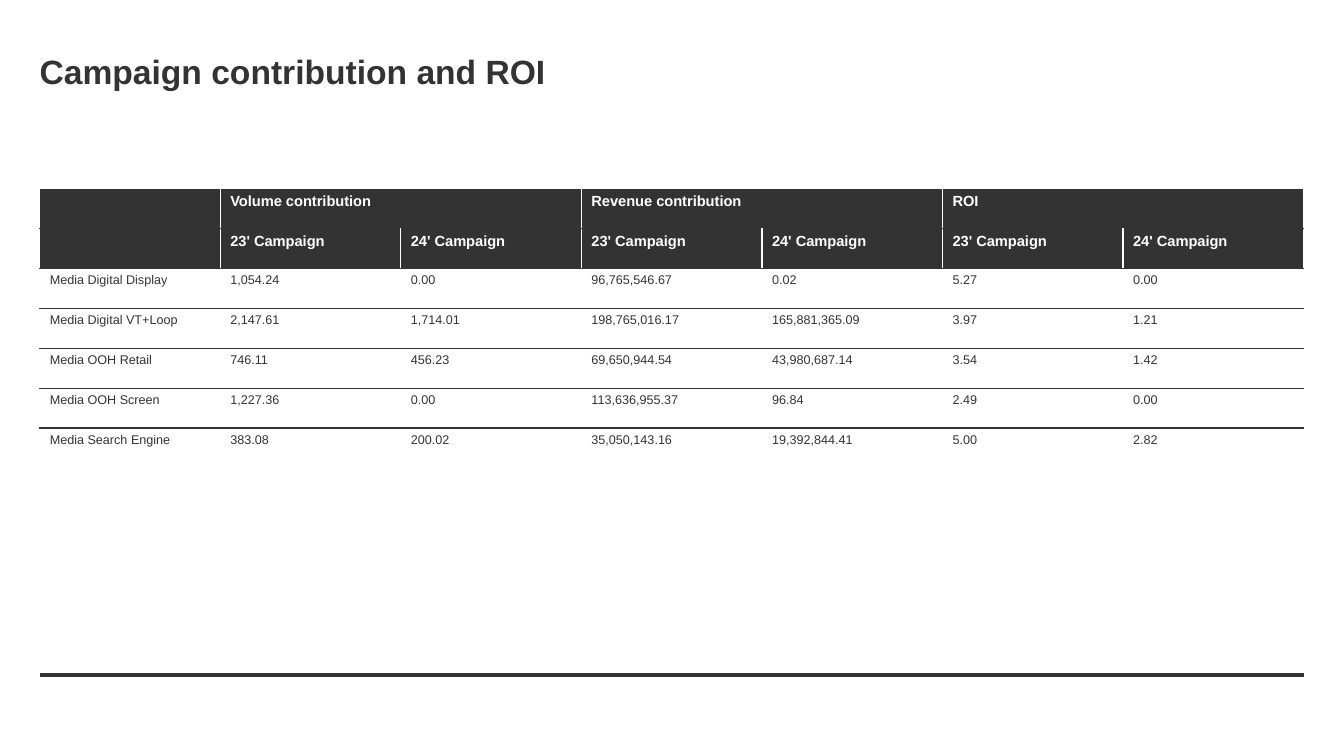
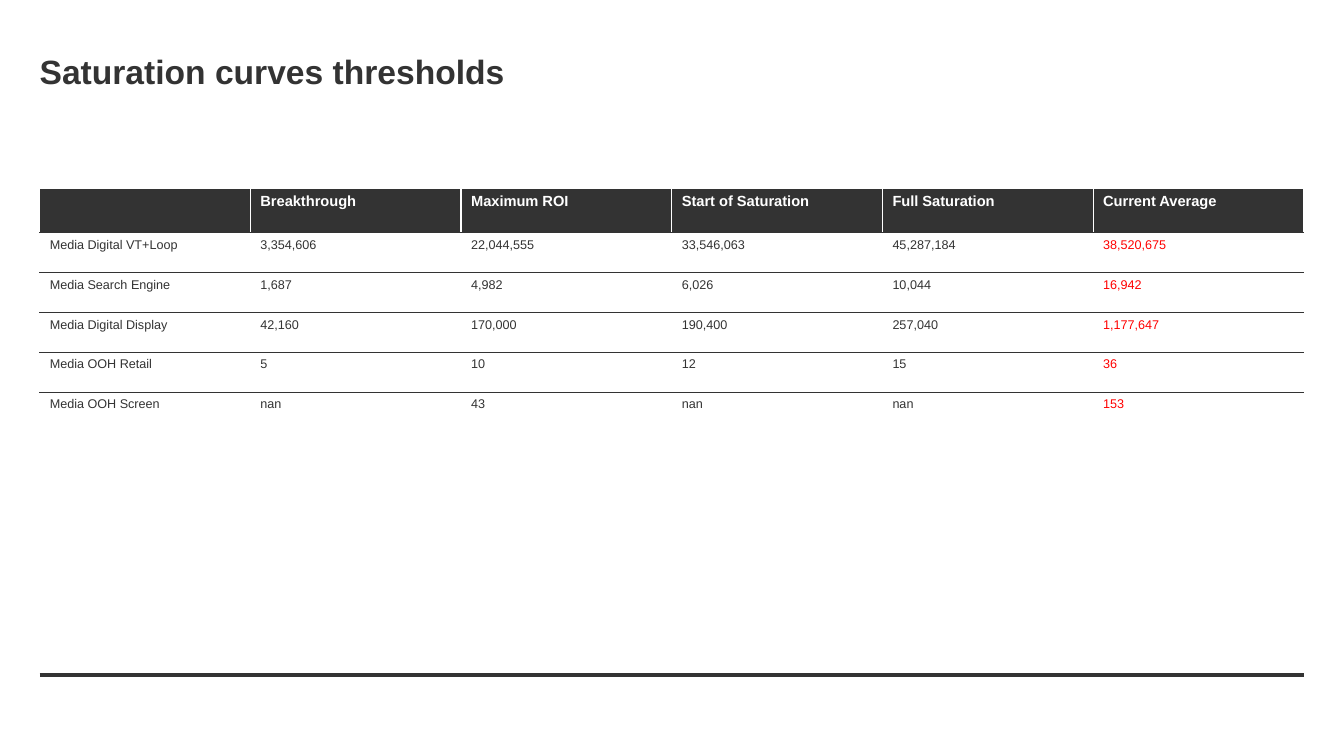
from lxml.etree import SubElement
from pptx import Presentation
from pptx.dml.color import RGBColor
from pptx.enum.shapes import MSO_CONNECTOR as Connector
from pptx.enum.text import MSO_ANCHOR as Anchor
from pptx.oxml.ns import qn
from pptx.util import Pt

DARK, WHITE, RED = "333333", "FFFFFF", "FF0000"
LEFT, WIDTH = 28.35, 903
TABLE_TOP, ROW_HEIGHT = 134.8, 28.5


def color(value):
    """Turn a hex string into a colour."""
    return RGBColor.from_string(value)


class Report:
    """Hold the deck, its style and the current page."""

    font = "Arial"

    def __init__(self):
        """Start an empty widescreen deck."""
        self.deck = Presentation()
        self.deck.slide_width, self.deck.slide_height = Pt(960), Pt(540)
        self.page = None

    def add_page(self, title):
        """Add a page with its title and footer rule."""
        self.page = self.deck.slides.add_slide(self.deck.slide_layouts[6])
        self.add_rule(482)
        self.add_title(title)

    def add_rule(self, top):
        """Draw a horizontal rule across the content width."""
        rule = self.page.shapes.add_connector(
            Connector.STRAIGHT, Pt(LEFT), Pt(top), Pt(LEFT + WIDTH), Pt(top))
        rule.line.color.rgb = color(DARK)
        rule.line.width = Pt(3)
        SubElement(rule._element.spPr, qn("a:effectLst"))

    def add_title(self, text):
        """Place the page title."""
        box = self.page.shapes.add_textbox(Pt(LEFT), Pt(33.8), Pt(WIDTH), Pt(31.7))
        frame = box.text_frame
        frame.word_wrap = True
        frame.vertical_anchor = Anchor.BOTTOM
        frame.margin_left = frame.margin_top = 0
        frame.margin_right = frame.margin_bottom = 0
        self.add_text(frame, text, 24, DARK, True)

    def add_text(self, frame, text, size, shade, bold=False):
        """Put one styled run into a frame."""
        para = frame.paragraphs[0]
        para.font.size = Pt(size)
        if text:
            span = para.add_run()
            span.text = text
            span.font.name = self.font
            span.font.size = Pt(size)
            span.font.bold = bold
            span.font.color.rgb = color(shade)

    def set_borders(self, cell, top, bottom):
        """Give a cell white sides and the given top and bottom lines."""
        properties = cell._tc.get_or_add_tcPr()
        shades = {"a:lnL": WHITE, "a:lnR": WHITE, "a:lnT": top, "a:lnB": bottom}
        for tag, shade in shades.items():
            line = SubElement(properties, qn(tag), w=str(Pt(1)))
            fill = SubElement(line, qn("a:solidFill"))
            SubElement(fill, qn("a:srgbClr"), val=shade)

    def add_table(self, headers, body, header_height=ROW_HEIGHT, red_column=None):
        """Draw a table with dark header rows and ruled body rows."""
        rows = headers + body
        count, columns = len(rows), len(rows[0])
        heights = [header_height] * len(headers) + [ROW_HEIGHT] * len(body)
        table = self.page.shapes.add_table(
            count, columns, Pt(LEFT), Pt(TABLE_TOP), Pt(WIDTH), Pt(sum(heights))).table
        table.first_row = table.horz_banding = False
        for column in table.columns:
            column.width = Pt(WIDTH / columns)
        for r, (values, height) in enumerate(zip(rows, heights)):
            table.rows[r].height = Pt(height)
            is_header = r < len(headers)
            for c, text in enumerate(values):
                cell = table.cell(r, c)
                self.set_borders(cell, DARK if r else WHITE,
                                 DARK if r < count - 1 else WHITE)
                cell.fill.solid()
                cell.fill.fore_color.rgb = color(DARK if is_header else WHITE)
                if is_header:
                    self.add_text(cell.text_frame, text, 10.5, WHITE, True)
                else:
                    shade = RED if c == red_column else DARK
                    self.add_text(cell.text_frame, text, 9, shade)
        return table


def add_contribution(report):
    """Build the page on campaign contribution."""
    report.add_page("Campaign contribution and ROI")
    groups = ["Volume contribution", "Revenue contribution", "ROI"]
    headers = [
        [""] + [text for group in groups for text in (group, "")],
        [""] + ["23' Campaign", "24' Campaign"] * len(groups),
    ]
    body = [
        ["Media Digital Display", "1,054.24", "0.00", "96,765,546.67", "0.02", "5.27", "0.00"],
        ["Media Digital VT+Loop", "2,147.61", "1,714.01", "198,765,016.17",
         "165,881,365.09", "3.97", "1.21"],
        ["Media OOH Retail", "746.11", "456.23", "69,650,944.54", "43,980,687.14",
         "3.54", "1.42"],
        ["Media OOH Screen", "1,227.36", "0.00", "113,636,955.37", "96.84", "2.49", "0.00"],
        ["Media Search Engine", "383.08", "200.02", "35,050,143.16", "19,392,844.41",
         "5.00", "2.82"],
    ]
    table = report.add_table(headers, body)
    for c in range(1, len(headers[0]), 2):
        table.cell(0, c).merge(table.cell(0, c + 1))


def add_thresholds(report):
    """Build the page on saturation thresholds."""
    report.add_page("Saturation curves thresholds")
    headers = [["", "Breakthrough", "Maximum ROI", "Start of Saturation",
                "Full Saturation", "Current Average"]]
    body = [
        ["Media Digital VT+Loop", "3,354,606", "22,044,555", "33,546,063",
         "45,287,184", "38,520,675"],
        ["Media Search Engine", "1,687", "4,982", "6,026", "10,044", "16,942"],
        ["Media Digital Display", "42,160", "170,000", "190,400", "257,040", "1,177,647"],
        ["Media OOH Retail", "5", "10", "12", "15", "36"],
        ["Media OOH Screen", "nan", "43", "nan", "nan", "153"],
    ]
    report.add_table(headers, body, header_height=31.5, red_column=5)


def main():
    """Build and save the deck."""
    report = Report()
    add_contribution(report)
    add_thresholds(report)
    report.deck.save("out.pptx")


if __name__ == "__main__":
    main()
